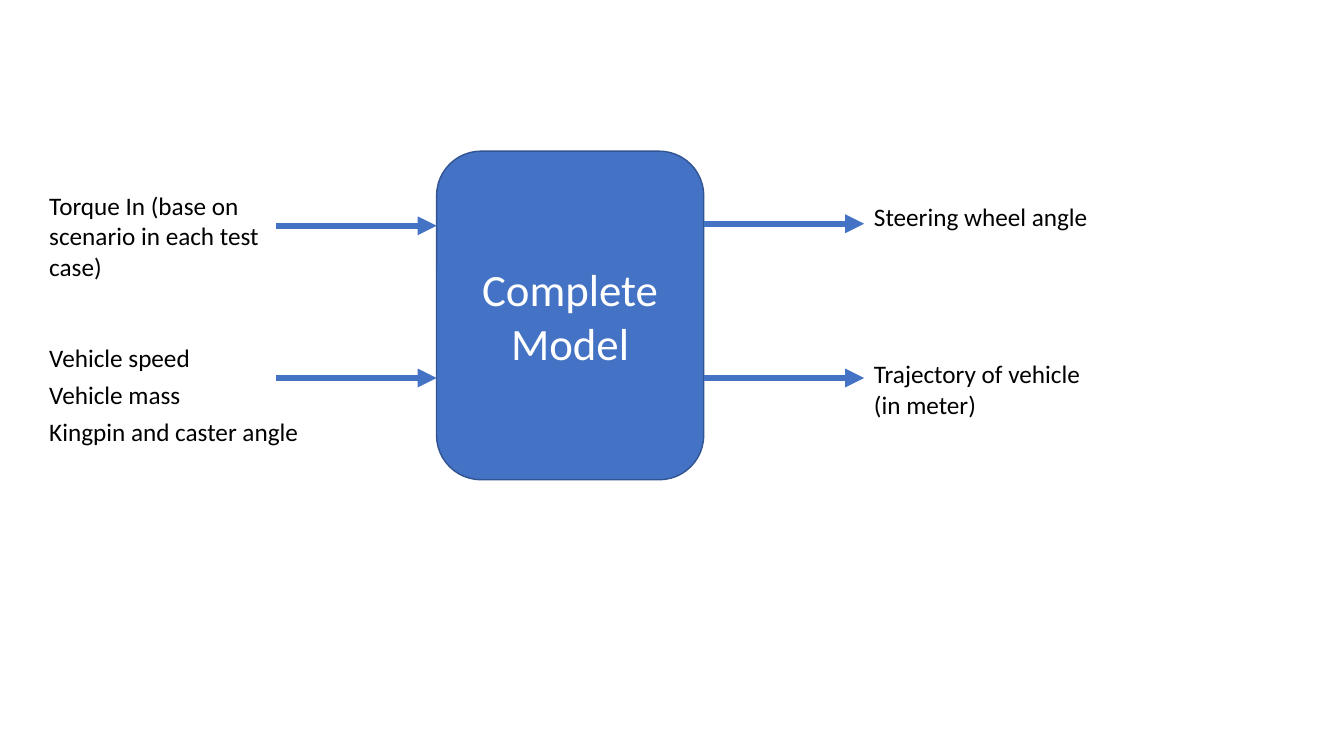
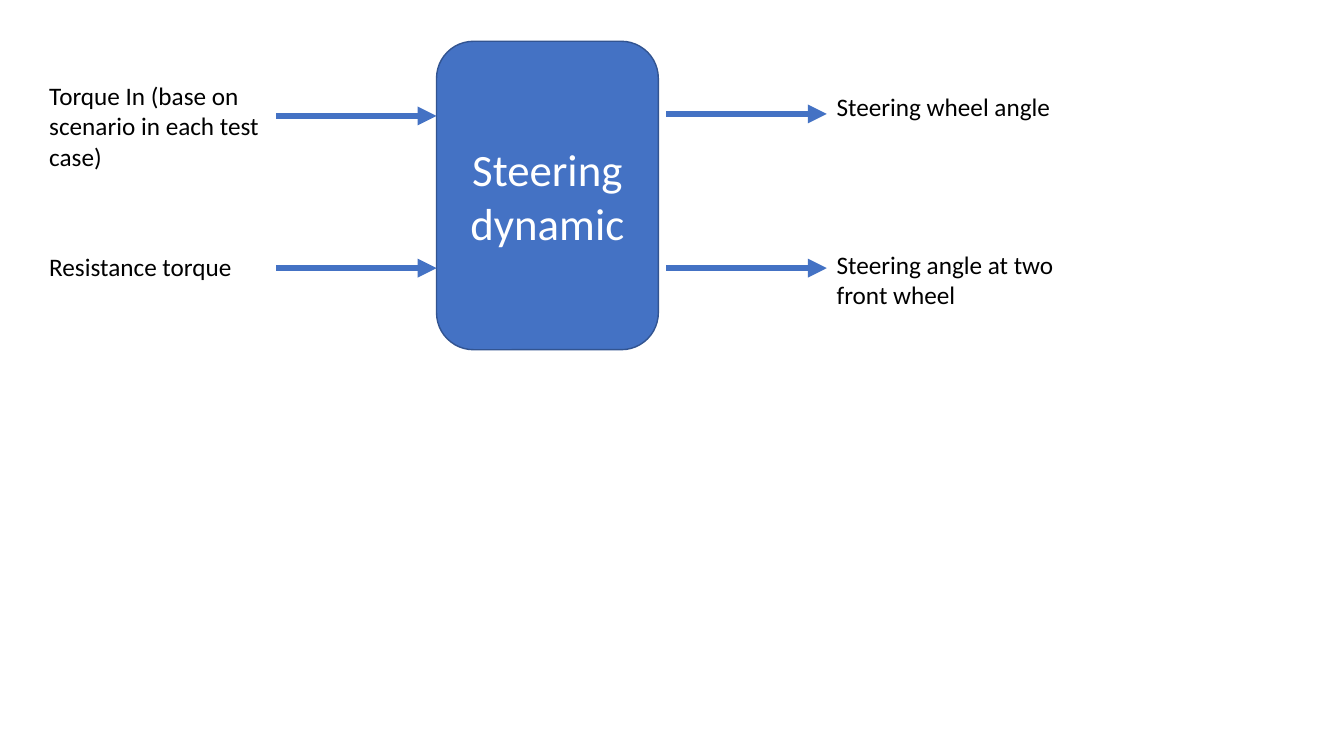
from dataclasses import dataclass

from lxml import etree
from pptx import Presentation
from pptx.dml.color import RGBColor
from pptx.enum.shapes import MSO_CONNECTOR, MSO_SHAPE
from pptx.enum.text import MSO_ANCHOR, MSO_AUTO_SIZE, PP_ALIGN
from pptx.oxml.ns import qn
from pptx.util import Inches, Pt

ROUNDED = MSO_SHAPE.ROUNDED_RECTANGLE
STRAIGHT = MSO_CONNECTOR.STRAIGHT
MIDDLE = MSO_ANCHOR.MIDDLE
FIT_SHAPE = MSO_AUTO_SIZE.SHAPE_TO_FIT_TEXT
CENTER = PP_ALIGN.CENTER


@dataclass(frozen=True)
class Theme:
    font: str = "Calibri"
    accent: RGBColor = RGBColor(0x44, 0x72, 0xC4)
    outline: RGBColor = RGBColor(0x32, 0x54, 0x91)
    light: RGBColor = RGBColor(0xFF, 0xFF, 0xFF)
    dark: RGBColor = RGBColor(0, 0, 0)
    block_size: int = 32
    label_size: int = 18
    outline_width: float = 1
    arrow_width: float = 4.5


THEME = Theme()
SLIDE_W, SLIDE_H = 13.33, 7.5
BLOCK_X = 4.33
INPUT_X = 0.39
ARROW_LEN = 1.59
LABEL_W = 2.37
LINE_H, LABEL_PAD = 0.305, 0.1
INPUT_ROWS = (0.74, 2.25)
OUTPUT_ROWS = (0.72, 2.25)
INPUT_LABEL_Y = 0.34
OUTPUT_LABEL_ROWS = (0.45, 2.01)
STACK_Y, STACK_STEP = 1.85, 0.365


def add_run(p, text, size, color):
    r = p.add_run()
    r.text = text
    r.font.name = THEME.font
    r.font.size = Pt(size)
    r.font.color.rgb = color


def add_block(shapes, text, y, w, h):
    sp = shapes.add_shape(ROUNDED, Inches(BLOCK_X), Inches(y), Inches(w), Inches(h))
    sp.shadow.inherit = False
    sp.fill.solid()
    sp.fill.fore_color.rgb = THEME.accent
    sp.line.color.rgb = THEME.outline
    sp.line.width = Pt(THEME.outline_width)
    tf = sp.text_frame
    tf.word_wrap = True
    tf.vertical_anchor = MIDDLE
    p = tf.paragraphs[0]
    p.alignment = CENTER
    add_run(p, text, THEME.block_size, THEME.light)


def add_label(shapes, text, x, y, lines=1, w=LABEL_W):
    h = LABEL_PAD + lines * LINE_H
    tf = shapes.add_textbox(Inches(x), Inches(y), Inches(w), Inches(h)).text_frame
    tf.word_wrap = True
    tf.auto_size = FIT_SHAPE
    add_run(tf.paragraphs[0], text, THEME.label_size, THEME.dark)


def add_arrow(shapes, x, y):
    cxn = shapes.add_connector(
        STRAIGHT, Inches(x), Inches(y), Inches(x + ARROW_LEN), Inches(y))
    cxn.line.color.rgb = THEME.accent
    cxn.line.width = Pt(THEME.arrow_width)
    etree.SubElement(cxn.line._get_or_add_ln(), qn("a:tailEnd"), type="triangle")
    etree.SubElement(cxn._element.spPr, qn("a:effectLst"))


def add_model(s, text, y, w, h, outputs, gap=0):
    shapes = s.shapes
    add_block(shapes, text, y, w, h)
    for row in INPUT_ROWS:
        add_arrow(shapes, BLOCK_X - ARROW_LEN, y + row)
    add_label(shapes, "Torque In (base on scenario in each test case)",
              INPUT_X, y + INPUT_LABEL_Y, lines=3)
    output_x = BLOCK_X + w + gap
    for row in OUTPUT_ROWS:
        add_arrow(shapes, output_x, y + row)
    for row, (label, lines) in zip(OUTPUT_LABEL_ROWS, outputs):
        add_label(shapes, label, output_x + ARROW_LEN, y + row, lines)


def add_stack(s, y, labels):
    shapes = s.shapes.add_group_shape().shapes
    for i, (label, w) in enumerate(labels):
        add_label(shapes, label, INPUT_X, y + i * STACK_STEP, w=w)


def main():
    prs = Presentation()
    prs.slide_width, prs.slide_height = Inches(SLIDE_W), Inches(SLIDE_H)
    blank = prs.slide_layouts[6]

    s = prs.slides.add_slide(blank)
    y = 1.5
    add_model(s, "Complete Model", y, 2.65, 3.26,
              [("Steering wheel angle", 1), ("Trajectory of vehicle (in meter)", 2)])
    add_stack(s, y + STACK_Y, [("Vehicle speed", LABEL_W), ("Vehicle mass", LABEL_W),
                               ("Kingpin and caster angle", 2.8)])

    s = prs.slides.add_slide(blank)
    y = 0.41
    add_model(s, "Steering dynamic", y, 2.2, 3.06,
              [("Steering wheel angle", 1), ("Steering angle at two front wheel", 2)],
              gap=0.08)
    add_label(s.shapes, "Resistance torque", INPUT_X, y + 2.03)

    prs.save("out.pptx")


if __name__ == "__main__":
    main()
